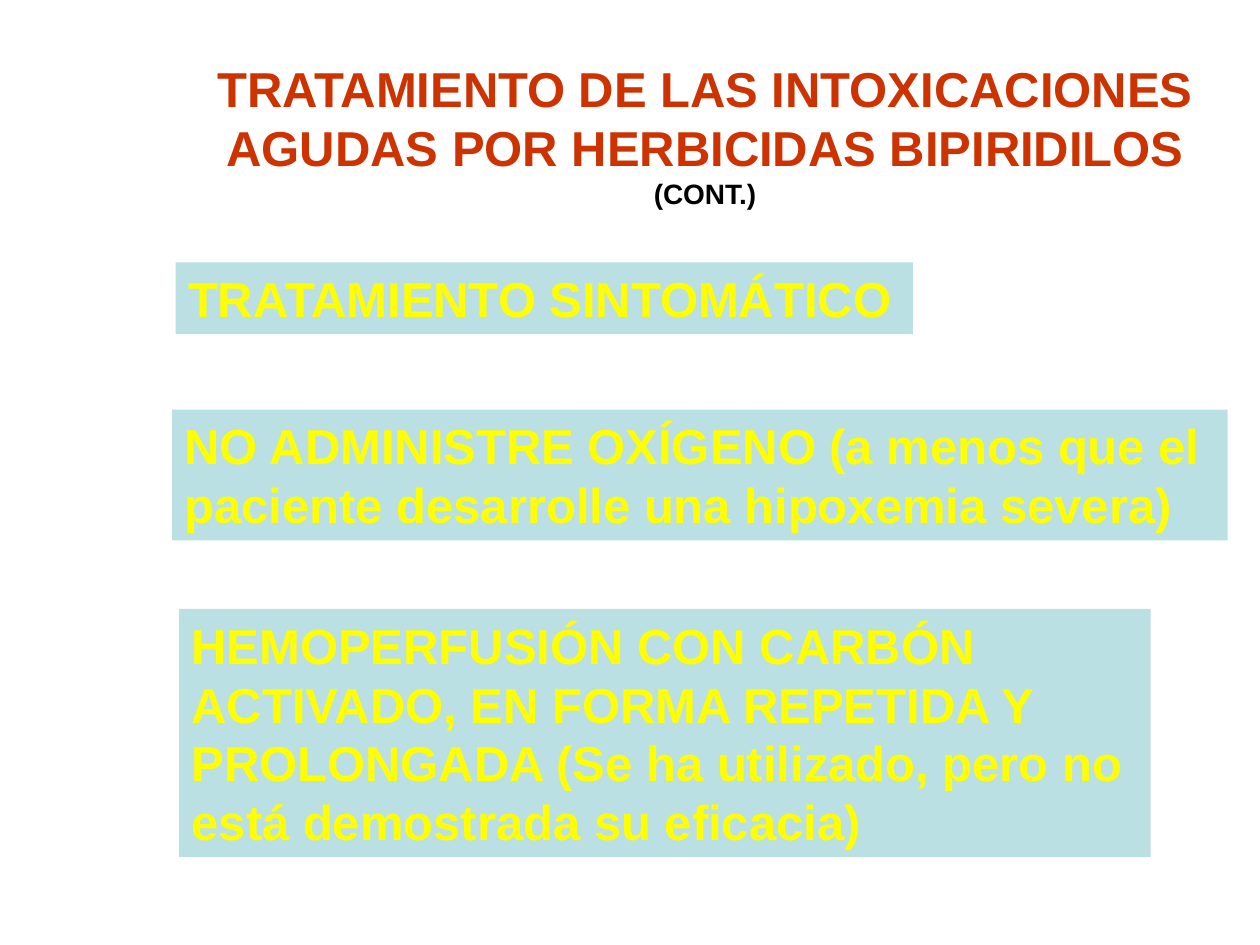
from pptx import Presentation
from pptx.dml.color import RGBColor
from pptx.enum.shapes import MSO_SHAPE
from pptx.enum.text import MSO_ANCHOR, MSO_AUTO_SIZE, PP_ALIGN
from pptx.util import Pt

RECTANGLE = MSO_SHAPE.RECTANGLE
TOP = MSO_ANCHOR.TOP
GROW = MSO_AUTO_SIZE.SHAPE_TO_FIT_TEXT
LEFT, CENTER = PP_ALIGN.LEFT, PP_ALIGN.CENTER

RED = RGBColor(0xCC, 0x33, 0x00)
BLACK = RGBColor(0x00, 0x00, 0x00)
YELLOW = RGBColor(0xFF, 0xFF, 0x00)
PALE_BLUE = RGBColor(0xBB, 0xE0, 0xE3)

HEADING = {"size": Pt(28), "color": RED}
CONTINUED = {"size": Pt(16), "color": BLACK}
ADVICE = {"size": Pt(28), "color": YELLOW}

# Places are left, top, width, height in points.
TITLE_PLACE = (114.5, 30.2, 576.7, 93.6)
TITLE = [
    ("TRATAMIENTO DE LAS INTOXICACIONES", HEADING),
    ("AGUDAS POR HERBICIDAS BIPIRIDILOS", HEADING),
    ("(CONT.)", CONTINUED),
]
PANELS = [
    ((100.4, 150, 421.2, 41), ["TRATAMIENTO SINTOMÁTICO"]),
    ((98.4, 234, 603.2, 74.8), [
        "NO ADMINISTRE OXÍGENO (a menos que el",
        "paciente desarrolle una hipoxemia severa)",
    ]),
    ((102.4, 348, 555.1, 141.8), [
        "HEMOPERFUSIÓN CON CARBÓN",
        "ACTIVADO, EN FORMA REPETIDA Y",
        "PROLONGADA (Se ha utilizado, pero no",
        "está demostrada su eficacia)",
    ]),
]


def write_lines(shape, lines, alignment):
    """Fill a shape with one paragraph per (text, format) pair."""
    frame = shape.text_frame
    frame.word_wrap = True
    frame.auto_size = GROW
    frame.vertical_anchor = TOP
    for index, (text, look) in enumerate(lines):
        para = frame.add_paragraph() if index else frame.paragraphs[0]
        para.alignment = alignment
        span = para.add_run()
        span.text = text
        for name, value in {"name": "Arial", "bold": True, "size": look["size"]}.items():
            setattr(span.font, name, value)
        span.font.color.rgb = look["color"]


def main():
    deck = Presentation()
    deck.slide_width, deck.slide_height = Pt(720), Pt(540)
    page = deck.slides.add_slide(deck.slide_layouts[6])

    title = page.shapes.add_textbox(*map(Pt, TITLE_PLACE))
    write_lines(title, TITLE, CENTER)

    for place, lines in PANELS:
        panel = page.shapes.add_shape(RECTANGLE, *map(Pt, place))
        panel.shadow.inherit = False
        panel.fill.solid()
        panel.fill.fore_color.rgb = PALE_BLUE
        panel.line.fill.background()
        write_lines(panel, [(line, ADVICE) for line in lines], LEFT)

    deck.save("out.pptx")


if __name__ == "__main__":
    main()
